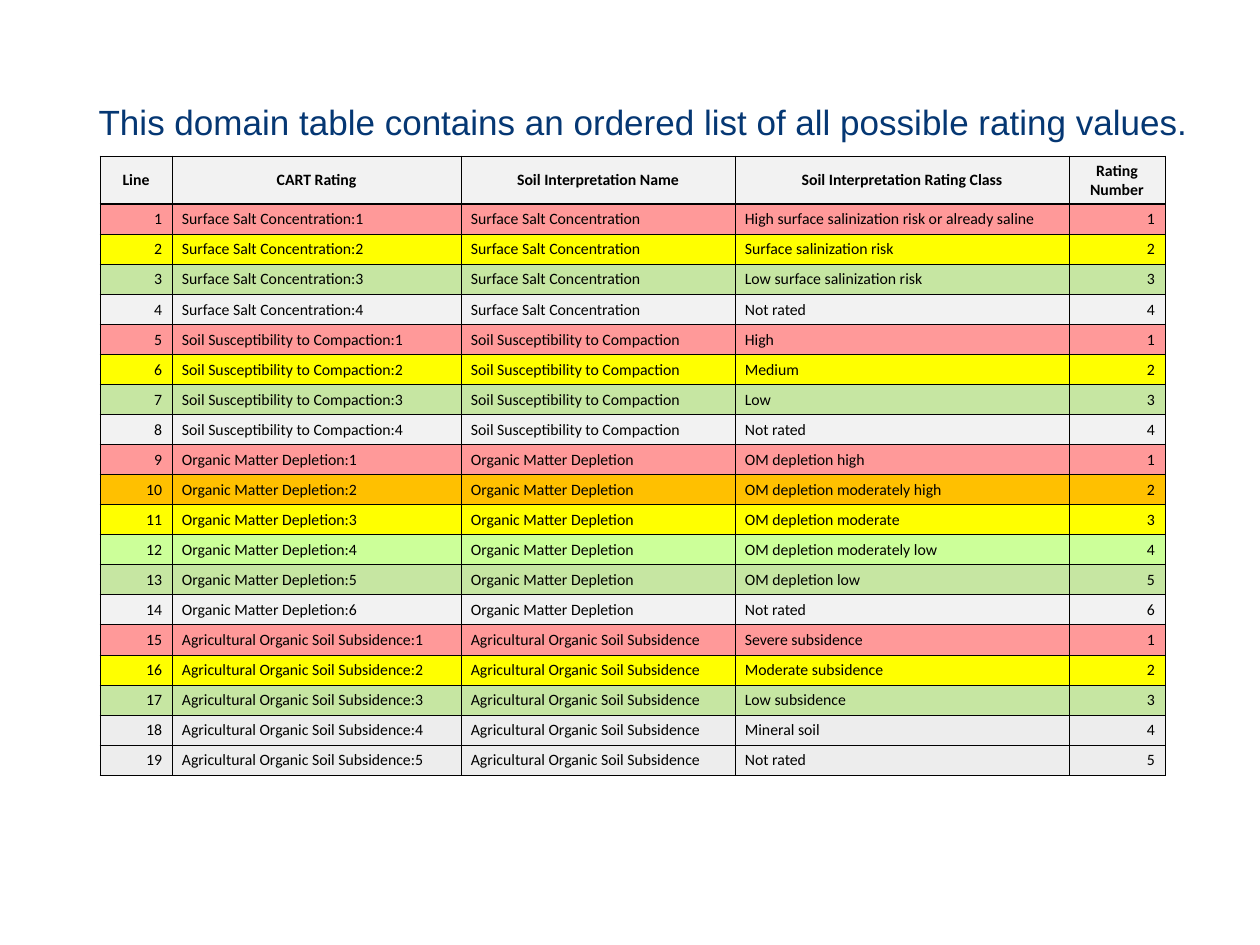
from dataclasses import dataclass

from lxml.etree import SubElement
from pptx import Presentation
from pptx.dml.color import RGBColor
from pptx.enum.text import MSO_ANCHOR, MSO_AUTO_SIZE, PP_ALIGN
from pptx.oxml.ns import qn
from pptx.util import Pt

TITLE = "This domain table contains an ordered list of all possible rating values."
HEADERS = ["Line", "CART Rating", "Soil Interpretation Name",
           "Soil Interpretation Rating Class", "Rating Number"]
INTERPRETATIONS = [
    ("Surface Salt Concentration", [
        ("High surface salinization risk or already saline", "red"),
        ("Surface salinization risk", "yellow"),
        ("Low surface salinization risk", "green"),
        ("Not rated", "gray")]),
    ("Soil Susceptibility to Compaction", [
        ("High", "red"),
        ("Medium", "yellow"),
        ("Low", "green"),
        ("Not rated", "gray")]),
    ("Organic Matter Depletion", [
        ("OM depletion high", "red"),
        ("OM depletion moderately high", "orange"),
        ("OM depletion moderate", "yellow"),
        ("OM depletion moderately low", "lime"),
        ("OM depletion low", "green"),
        ("Not rated", "gray")]),
    ("Agricultural Organic Soil Subsidence", [
        ("Severe subsidence", "red"),
        ("Moderate subsidence", "yellow"),
        ("Low subsidence", "green"),
        ("Mineral soil", "silver"),
        ("Not rated", "silver")]),
]

TITLE_BOX = (86, 94, 1128, 55)
TABLE_LEFT, TABLE_TOP = 100, 156
COLUMN_WIDTHS = [72, 289, 274, 334, 96]
HEADER_HEIGHT, BODY_HEIGHT = 48, 572
WIDE_INSET, THIN_INSET = 10, 1
NUMBER_COLUMNS = (0, 4)


@dataclass(frozen=True)
class Theme:
    title_font: str = "Arial"
    title_size: int = 20
    title_color: str = "053773"
    table_font: str = "Calibri"
    table_size: int = 9
    text: str = "000000"
    border: str = "000000"
    border_width: float = 0.5
    header_rule: float = 1
    red: str = "FF9999"
    orange: str = "FFC000"
    yellow: str = "FFFF00"
    lime: str = "CCFF99"
    green: str = "C6E6A2"
    gray: str = "F2F2F2"
    silver: str = "EDEDED"


THEME = Theme()


def px(n):
    return round(n * 914400 / 126)


def style_font(font, name, size, color, bold=False):
    font.name, font.size, font.bold = name, Pt(size), bold
    font.color.rgb = RGBColor.from_string(color)


def set_borders(cell, top, bottom):
    side = THEME.border_width
    tcPr = cell._tc.get_or_add_tcPr()
    for tag, width in (("a:lnL", side), ("a:lnR", side), ("a:lnT", top), ("a:lnB", bottom)):
        ln = SubElement(tcPr, qn(tag), w=str(Pt(width)))
        SubElement(SubElement(ln, qn("a:solidFill")), qn("a:srgbClr"), val=THEME.border)


def fill_cell(cell, row, col, text, tint):
    header = row == 0
    number = col in NUMBER_COLUMNS
    thin, wide = px(THIN_INSET), px(WIDE_INSET)
    cell.margin_left = thin if header or number else wide
    cell.margin_right = wide if number and not header else thin
    cell.margin_top, cell.margin_bottom = thin, 0
    cell.vertical_anchor = MSO_ANCHOR.MIDDLE
    set_borders(cell,
                THEME.header_rule if row == 1 else THEME.border_width,
                THEME.header_rule if header else THEME.border_width)
    cell.fill.solid()
    cell.fill.fore_color.rgb = RGBColor.from_string(getattr(THEME, tint))
    p = cell.text_frame.paragraphs[0]
    p.text = text
    p.alignment = PP_ALIGN.CENTER if header else PP_ALIGN.RIGHT if number else PP_ALIGN.LEFT
    style_font(p.runs[0].font, THEME.table_font, THEME.table_size, THEME.text, header)


def table_rows():
    rows = [(HEADERS, "gray")]
    for name, classes in INTERPRETATIONS:
        for number, (rating, tint) in enumerate(classes, 1):
            rows.append(([str(len(rows)), f"{name}:{number}", name, rating, str(number)], tint))
    return rows


def add_title(s):
    sp = s.shapes.title
    sp.left, sp.top, sp.width, sp.height = map(px, TITLE_BOX)
    tf = sp.text_frame
    tf.text = TITLE
    tf.word_wrap = True
    tf.auto_size = MSO_AUTO_SIZE.NONE
    tf.vertical_anchor = MSO_ANCHOR.TOP
    p = tf.paragraphs[0]
    p.alignment = PP_ALIGN.LEFT
    style_font(p.runs[0].font, THEME.title_font, THEME.title_size, THEME.title_color)


def add_rating_table(s):
    rows = table_rows()
    table = s.shapes.add_table(
        len(rows), len(HEADERS), px(TABLE_LEFT), px(TABLE_TOP),
        px(sum(COLUMN_WIDTHS)), px(HEADER_HEIGHT + BODY_HEIGHT)).table
    table.horz_banding = False
    for column, width in zip(table.columns, COLUMN_WIDTHS):
        column.width = px(width)
    row_height = px(BODY_HEIGHT / (len(rows) - 1))
    for i, (texts, tint) in enumerate(rows):
        table.rows[i].height = row_height if i else px(HEADER_HEIGHT)
        for j, text in enumerate(texts):
            fill_cell(table.cell(i, j), i, j, text, tint)


def main():
    prs = Presentation()
    prs.slide_width, prs.slide_height = px(1260), px(945)
    s = prs.slides.add_slide(prs.slide_layouts[5])
    add_title(s)
    add_rating_table(s)
    prs.save("out.pptx")


if __name__ == "__main__":
    main()
